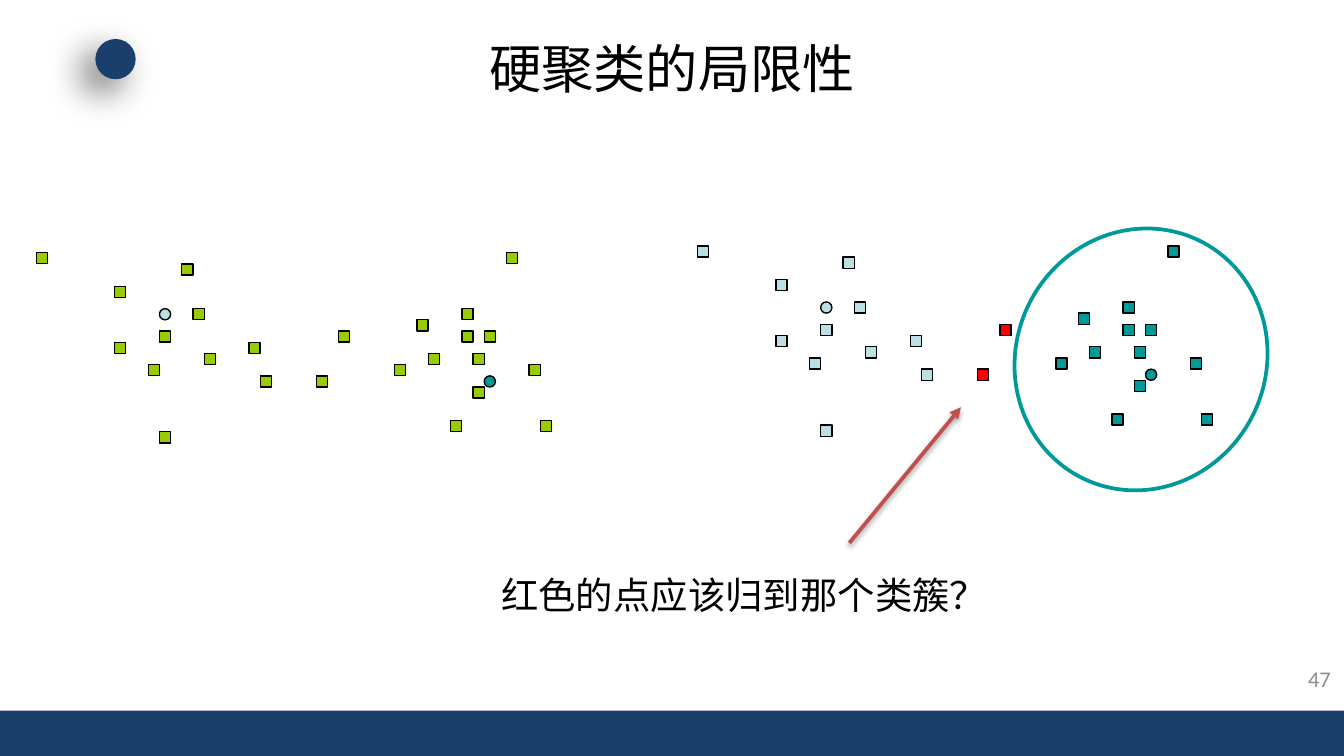
from pptx import Presentation
from pptx.dml.color import RGBColor
from pptx.enum.shapes import MSO_CONNECTOR, MSO_SHAPE
from pptx.enum.text import MSO_ANCHOR, MSO_AUTO_SIZE, PP_ALIGN
from pptx.oxml.ns import qn
from pptx.util import Inches, Pt
from lxml.etree import SubElement

WIDTH, HEIGHT = 10, 5.625
STEP = 1 / 12  # spacing of the scatter grid and size of a marker
CJK_FONT = "Noto Sans CJK SC"
NAVY, GREEN, PALE, TEAL = "1A3F6C", "99CC00", "BBE0E3", "009999"
RED, BLACK = "FF0000", "000000"

# Points as (column, row) of the scatter grid
LEFT_POINTS = [(0, 0), (7, 3), (7, 8), (11, 7), (13, 1), (14, 5),
               (10, 10), (19, 8), (15, 9), (11, 16), (20, 11)]
RIGHT_POINTS = [(38, 5), (40, 7), (42, 0), (34, 6), (35, 9), (44, 10),
                (39, 12), (45, 15), (38, 7), (39, 9), (37, 15), (32, 10)]
MIDDLE_POINTS = [(27, 7), (25, 11)]
LEFT_CENTRE, RIGHT_CENTRE = (11, 5), (40, 11)


def colour(value):
    return RGBColor.from_string(value)


def inches(*lengths):
    return [Inches(length) for length in lengths]


def add_shape(shapes, kind, box, fill=None, line=None, line_width=0.75):
    shape = shapes.add_shape(kind, *inches(*box))
    shape.shadow.inherit = False
    if fill:
        shape.fill.solid()
        shape.fill.fore_color.rgb = colour(fill)
    else:
        shape.fill.background()
    if line:
        shape.line.color.rgb = colour(line)
        shape.line.width = Pt(line_width)
    else:
        shape.line.fill.background()
    return shape


def add_shadow(shape, opacity, blur, distance, angle):
    properties = shape._element.spPr
    effects = properties.find(qn("a:effectLst"))
    if effects is None:
        effects = SubElement(properties, qn("a:effectLst"))
    shadow = SubElement(effects, qn("a:outerShdw"), blurRad=str(Pt(blur)),
                        dist=str(Pt(distance)), dir=str(angle * 60000),
                        algn="ctr", rotWithShape="0")
    shade = SubElement(shadow, qn("a:srgbClr"), val=BLACK)
    SubElement(shade, qn("a:alpha"), val=str(opacity * 1000))


def write_text(shape, text, size, font, fill, align, anchor):
    frame = shape.text_frame
    frame.vertical_anchor = anchor
    paragraph = frame.paragraphs[0]
    paragraph.alignment = align
    run = paragraph.add_run()
    run.text = text
    run.font.size = Pt(size)
    run.font.color.rgb = colour(fill)
    run.font.name = font
    SubElement(run.font._element, qn("a:ea"), typeface=font)


def add_scatter(slide, left, top, colours):
    """Draw the points; colours are those of the left, right and middle sets."""
    shapes = slide.shapes.add_group_shape().shapes

    def add_marker(kind, point, fill):
        column, row = point
        box = (left + column * STEP, top + row * STEP, STEP, STEP)
        add_shape(shapes, kind, box, fill, BLACK)

    for points, fill in zip((LEFT_POINTS, RIGHT_POINTS, MIDDLE_POINTS), colours):
        for point in points:
            add_marker(MSO_SHAPE.RECTANGLE, point, fill)
    add_marker(MSO_SHAPE.OVAL, LEFT_CENTRE, PALE)
    add_marker(MSO_SHAPE.OVAL, RIGHT_CENTRE, TEAL)
    return shapes


def add_arrow(slide, start, end, fill):
    arrow = slide.shapes.add_connector(MSO_CONNECTOR.STRAIGHT,
                                       *inches(*start, *end))
    arrow.line.color.rgb = colour(fill)
    arrow.line.width = Pt(2)
    SubElement(arrow._element.spPr.find(qn("a:ln")), qn("a:tailEnd"),
               type="triangle")
    add_shadow(arrow, 38, 3.1, 1.6, 90)


def main():
    presentation = Presentation()
    presentation.slide_width, presentation.slide_height = inches(WIDTH, HEIGHT)
    slide = presentation.slides.add_slide(presentation.slide_layouts[5])
    shapes = slide.shapes

    # Footer band and corner disc
    band = 0.06 * HEIGHT
    add_shape(shapes, MSO_SHAPE.RECTANGLE,
              (0, HEIGHT - band, WIDTH, band), NAVY)
    disc = add_shape(shapes, MSO_SHAPE.OVAL, (0.71, 0.29, 0.3, 0.3), NAVY)
    add_shadow(disc, 60, 20, 10, 135)

    # Title and page number
    title = shapes.title
    title.left, title.top, title.width, title.height = inches(
        0.05 * WIDTH, 0.23, 0.9 * WIDTH, 0.55)
    write_text(title, "硬聚类的局限性", 28, CJK_FONT, BLACK,
               PP_ALIGN.CENTER, MSO_ANCHOR.MIDDLE)
    number = shapes.add_textbox(*inches(9.55, 4.9, 0.45, 0.3))
    number.text_frame.word_wrap = True
    write_text(number, "47", 12, "Calibri", "8C8C8C",
               PP_ALIGN.RIGHT, MSO_ANCHOR.MIDDLE)

    # Points before and after clustering
    add_scatter(slide, 0.27, 1.88, (GREEN, GREEN, GREEN))
    clustered = add_scatter(slide, 5.19, 1.83, (PALE, TEAL, RED))
    outline = add_shape(clustered, MSO_SHAPE.OVAL, (7.56, 1.69, 1.86, 1.97),
                        line=TEAL, line_width=2)
    outline.rotation = 26.5

    # Question about the red points
    question = shapes.add_textbox(*inches(3.63, 4.21, 3.85, 0.44))
    question.text_frame.word_wrap = False
    question.text_frame.auto_size = MSO_AUTO_SIZE.SHAPE_TO_FIT_TEXT
    write_text(question, "红色的点应该归到那个类簇？", 20, CJK_FONT, BLACK,
               PP_ALIGN.LEFT, MSO_ANCHOR.TOP)
    add_arrow(slide, (6.32, 4.04), (7.15, 3.03), "C0504D")

    presentation.save("out.pptx")


if __name__ == "__main__":
    main()
